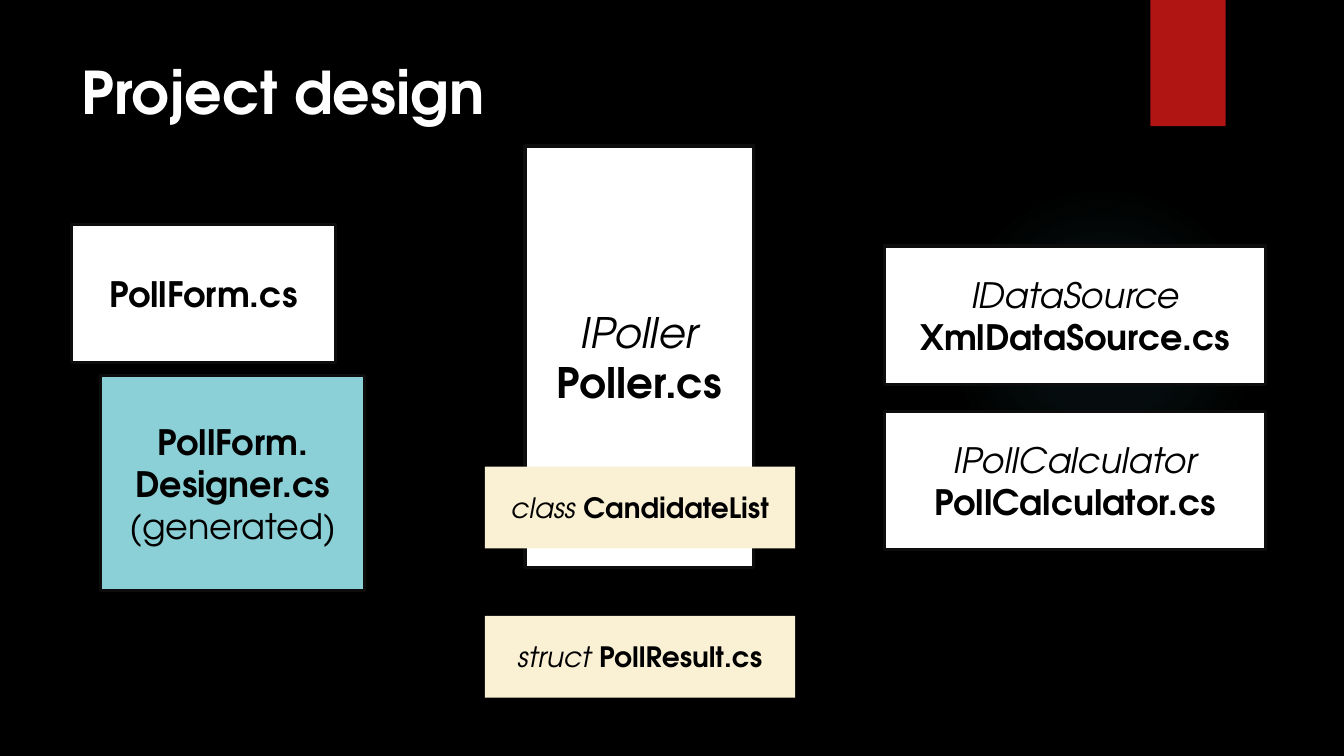
from lxml import etree
from pptx import Presentation, util as u
from pptx.dml.color import RGBColor
from pptx.enum import shapes, text
from pptx.oxml import ns

BLACK = RGBColor(0x00, 0x00, 0x00)
WHITE = RGBColor(0xFF, 0xFF, 0xFF)
RED = RGBColor(0xB0, 0x15, 0x13)
TEAL = RGBColor(0x8A, 0xD0, 0xD6)
CREAM = RGBColor(0xFA, 0xF1, 0xD4)
OUTLINE = RGBColor(0x0D, 0x0D, 0x0D)
GLOW = RGBColor(0x50, 0xB9, 0xC1)

FONT = "TeX Gyre Adventor"
PLAIN = {"bold": False, "italic": False}
BOLD = {"bold": True, "italic": False}
ITALIC = {"bold": False, "italic": True}

presentation = Presentation()
presentation.slide_width = u.Cm(33.87)
presentation.slide_height = u.Cm(19.05)
slide = presentation.slides.add_slide(presentation.slide_layouts[6])
slide.background.fill.solid()
slide.background.fill.fore_color.rgb = BLACK


def add_block(place, fill, outlined=False, kind=shapes.MSO_SHAPE.RECTANGLE):
    shape = slide.shapes.add_shape(kind, *map(u.Cm, place))
    shape.shadow.inherit = False
    shape.fill.solid()
    shape.fill.fore_color.rgb = fill
    if outlined:
        shape.line.color.rgb = OUTLINE
        shape.line.width = u.Pt(2.25)
    else:
        shape.line.fill.background()
    return shape


def write(shape, paragraphs, size, color, alignment):
    frame = shape.text_frame
    frame.word_wrap = True
    for index, runs in enumerate(paragraphs):
        paragraph = frame.add_paragraph() if index else frame.paragraphs[0]
        paragraph.alignment = alignment
        for words, style in runs:
            run = paragraph.add_run()
            run.text = words
            run.font.color.rgb = color
            for name, value in {"name": FONT, "size": u.Pt(size), **style}.items():
                setattr(run.font, name, value)


# Faint round glow, fading out towards its edge
glow = add_block((23.9, 4.65, 7.82, 7.82), GLOW, kind=shapes.MSO_SHAPE.OVAL)
glow.fill.gradient()
gradient = glow.fill._fill._gradFill
for child in list(gradient):
    gradient.remove(child)
stops = etree.SubElement(gradient, ns.qn("a:gsLst"))
for position, opacity in [(0, 7), (36, 6), (69, 0)]:
    stop = etree.SubElement(stops, ns.qn("a:gs"), pos=str(position * 1000))
    color = etree.SubElement(stop, ns.qn("a:srgbClr"), val=str(GLOW))
    etree.SubElement(color, ns.qn("a:alpha"), val=str(opacity * 1000))
focus = etree.SubElement(gradient, ns.qn("a:path"), path="circle")
etree.SubElement(focus, ns.qn("a:fillToRect"), dict.fromkeys("ltrb", "50000"))

# Red tab
add_block((28.99, 0, 1.9, 3.18), RED)

# Title
title = slide.shapes.add_textbox(*map(u.Cm, (1.8, 1.27, 26.14, 2.44)))
title.text_frame.vertical_anchor = text.MSO_ANCHOR.TOP
write(title, [[("Project design", BOLD)]], 42, WHITE, text.PP_ALIGN.LEFT)

# Source files, then the data types on top: place, fill, outlined, size, paragraphs
blocks = [
    ((13.23, 3.68, 5.77, 10.62), WHITE, True, 30,
     [[("IPoller ", ITALIC), ("Poller.cs", BOLD)]]),
    ((1.8, 5.66, 6.65, 3.48), WHITE, True, 25,
     [[("PollForm.cs", BOLD)]]),
    ((2.54, 9.47, 6.65, 5.41), TEAL, True, 25,
     [[("PollForm.", BOLD)], [("Designer.cs", BOLD)], [("(generated)", PLAIN)]]),
    ((22.3, 10.36, 9.6, 3.48), WHITE, True, 25,
     [[("IPollCalculator ", ITALIC), ("PollCalculator.cs", BOLD)]]),
    ((22.3, 6.2, 9.6, 3.48), WHITE, True, 25,
     [[("IDataSource ", ITALIC), ("XmlDataSource.cs", BOLD)]]),
    ((12.22, 11.76, 7.82, 2.06), CREAM, False, 20,
     [[("class ", ITALIC), ("CandidateList", BOLD)]]),
    ((12.22, 15.52, 7.82, 2.06), CREAM, False, 20,
     [[("struct ", ITALIC), ("PollResult.cs", BOLD)]]),
]
for place, fill, outlined, size, paragraphs in blocks:
    block = add_block(place, fill, outlined)
    block.text_frame.vertical_anchor = text.MSO_ANCHOR.MIDDLE
    write(block, paragraphs, size, BLACK, text.PP_ALIGN.CENTER)

presentation.save("out.pptx")
